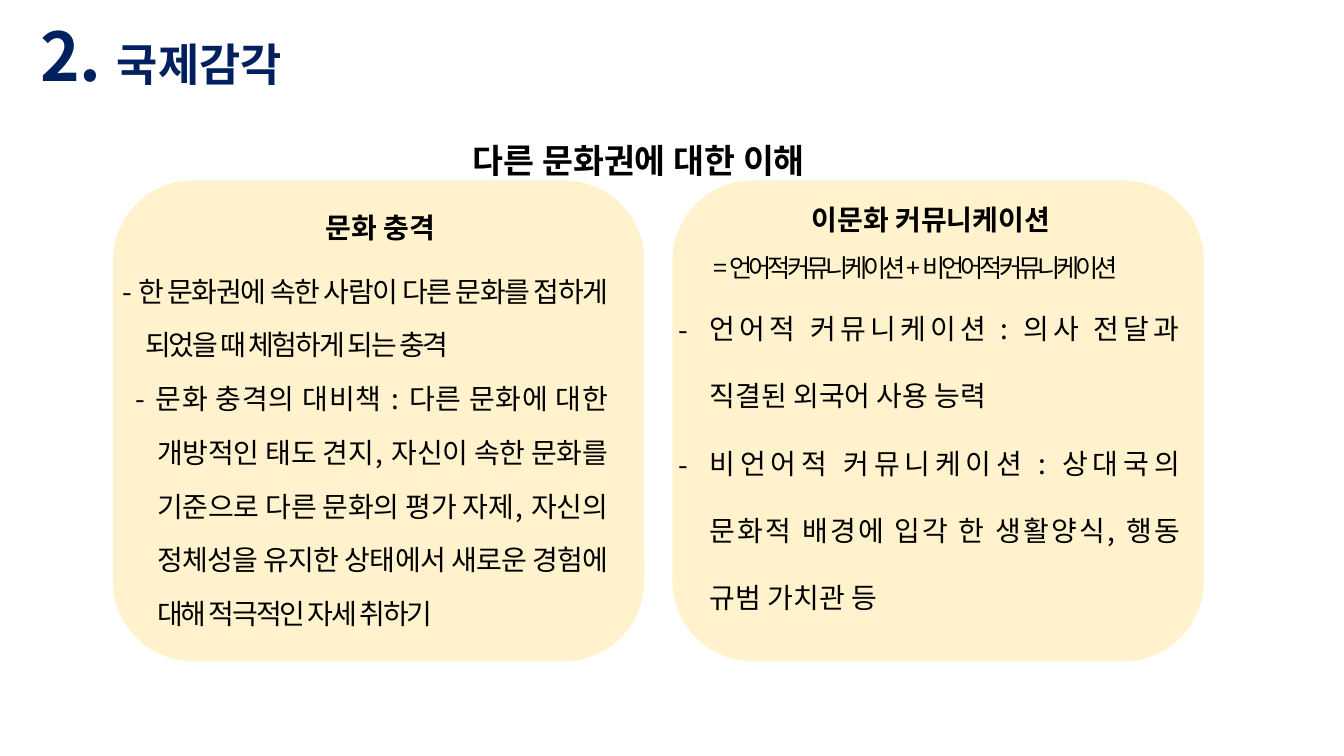
import pptx
import pptx.dml.color
import pptx.enum.shapes
import pptx.enum.text
import pptx.oxml
import pptx.oxml.ns
import pptx.util

Inches = pptx.util.Inches
Pt = pptx.util.Pt
qn = pptx.oxml.ns.qn
NS = pptx.oxml.ns.nsdecls("a")


def color(hex_text):
    return pptx.dml.color.RGBColor.from_string(hex_text)


class SlideBuilder:
    font = "Noto Sans CJK KR"
    black = "000000"
    navy = "002060"
    cream = "FFF2CC"

    def __init__(self, prs):
        self.slide = prs.slides.add_slide(prs.slide_layouts[6])

    def card(self, left, top, width, height):
        sp = self.slide.shapes.add_shape(
            pptx.enum.shapes.MSO_SHAPE.ROUNDED_RECTANGLE,
            Inches(left), Inches(top), Inches(width), Inches(height))
        sp.shadow.inherit = False
        sp.fill.solid()
        sp.fill.fore_color.rgb = color(self.cream)
        sp.line.fill.background()

    def text_box(self, left, top, width, height, wrap=False):
        sp = self.slide.shapes.add_textbox(
            Inches(left), Inches(top), Inches(width), Inches(height))
        tf = sp.text_frame
        tf.word_wrap = wrap
        tf.auto_size = pptx.enum.text.MSO_AUTO_SIZE.SHAPE_TO_FIT_TEXT
        return tf

    def paragraph(self, tf, first=False, spacing=None, margin=0, indent=0,
                  bullet=None):
        p = tf.paragraphs[0] if first else tf.add_paragraph()
        if spacing:
            p.alignment = pptx.enum.text.PP_ALIGN.JUSTIFY
            p.line_spacing = spacing
        pPr = p._p.get_or_add_pPr()
        pPr.set("marL", str(Inches(margin)))
        pPr.set("indent", str(Inches(indent)))
        if bullet:
            pPr.append(pptx.oxml.parse_xml(f'<a:buFont {NS} typeface="{self.font}"/>'))
            pPr.append(pptx.oxml.parse_xml(f'<a:buChar {NS} char="{bullet}"/>'))
        return p

    def run(self, p, text, size=20, bold=False, fill=black, tracking=0):
        r = p.add_run()
        r.text = text
        r.font.size = Pt(size)
        r.font.bold = bold
        r.font.color.rgb = color(fill)
        r.font.name = self.font
        rPr = r.font._element
        rPr.find(qn("a:latin")).addnext(
            pptx.oxml.parse_xml(f'<a:ea {NS} typeface="{self.font}"/>'))
        if tracking:
            rPr.set("spc", str(int(tracking * 100)))


def main():
    prs = pptx.Presentation()
    prs.slide_width = Inches(13.33)
    prs.slide_height = Inches(7.5)
    s = SlideBuilder(prs)

    # Subtitle
    tf = s.text_box(4.52, 1.1, 4.11, 0.66)
    p = s.paragraph(tf, first=True, spacing=1.6, margin=0.07)
    p.space_before, p.space_after = Pt(7), Pt(1.5)
    s.run(p, "다른 문화권에 대한 이해 ", size=24, bold=True)

    # Cards
    for left in (1.12, 6.67):
        s.card(left, 1.79, 5.27, 4.77)

    # Card headings
    tf = s.text_box(2.85, 1.84, 1.8, 0.57)
    p = s.paragraph(tf, first=True, spacing=1.6, margin=0.5, indent=-0.22)
    s.run(p, "문화 충격 ", bold=True)
    tf = s.text_box(7.95, 1.96, 2.92, 0.44)
    s.run(s.paragraph(tf, first=True), "이문화 커뮤니케이션", bold=True)

    # Slide title
    tf = s.text_box(0.3, 0.09, 6.88, 0.91, wrap=True)
    p = s.paragraph(tf, first=True)
    for text, size in (("2. ", 48), ("국제감각", 32)):
        s.run(p, text, size=size, bold=True, fill=s.navy)

    # Right card: kinds of communication
    tf = s.text_box(6.21, 2.71, 5.59, 3.47, wrap=True)
    kinds = (
        "언어적 커뮤니케이션 : 의사 전달과 직결된 외국어 사용 능력 ",
        "비언어적 커뮤니케이션 : 상대국의 문화적 배경에 입각 한 생활양식, 행동 규범 가치관 등 ",
    )
    for i, text in enumerate(kinds):
        p = s.paragraph(tf, first=i == 0, spacing=2.0, margin=0.73,
                        indent=-0.31, bullet="-")
        s.run(p, text)

    # Left card: culture shock
    tf = s.text_box(0.84, 2.47, 5.27, 3.87, wrap=True)
    shock = (
        ("- 한 문화권에 속한 사람이 다른 문화를 접하게 되었을 때 체험하게 되는 충격 ",
         0.5, -0.22),
        ("- 문화 충격의 대비책 : 다른 문화에 대한 개방적인 태도 견지, 자신이 속한 문화를 "
         "기준으로 다른 문화의 평가 자제, 자신의 정체성을 유지한 상태에서 새로운 경험에 "
         "대해 적극적인 자세 취하기 ", 0.62, -0.21),
    )
    for i, (text, margin, indent) in enumerate(shock):
        p = s.paragraph(tf, first=i == 0, spacing=1.6, margin=margin, indent=indent)
        s.run(p, text, tracking=-1.5)

    # Right card: formula line
    tf = s.text_box(6.7, 2.27, 5.03, 0.59)
    p = s.paragraph(tf, first=True, spacing=1.6, margin=0.5, indent=-0.22)
    s.run(p, "= 언어적 커뮤니케이션 + 비언어적 커뮤니케이션 ", size=18, tracking=-3)

    prs.save("out.pptx")


if __name__ == "__main__":
    main()
